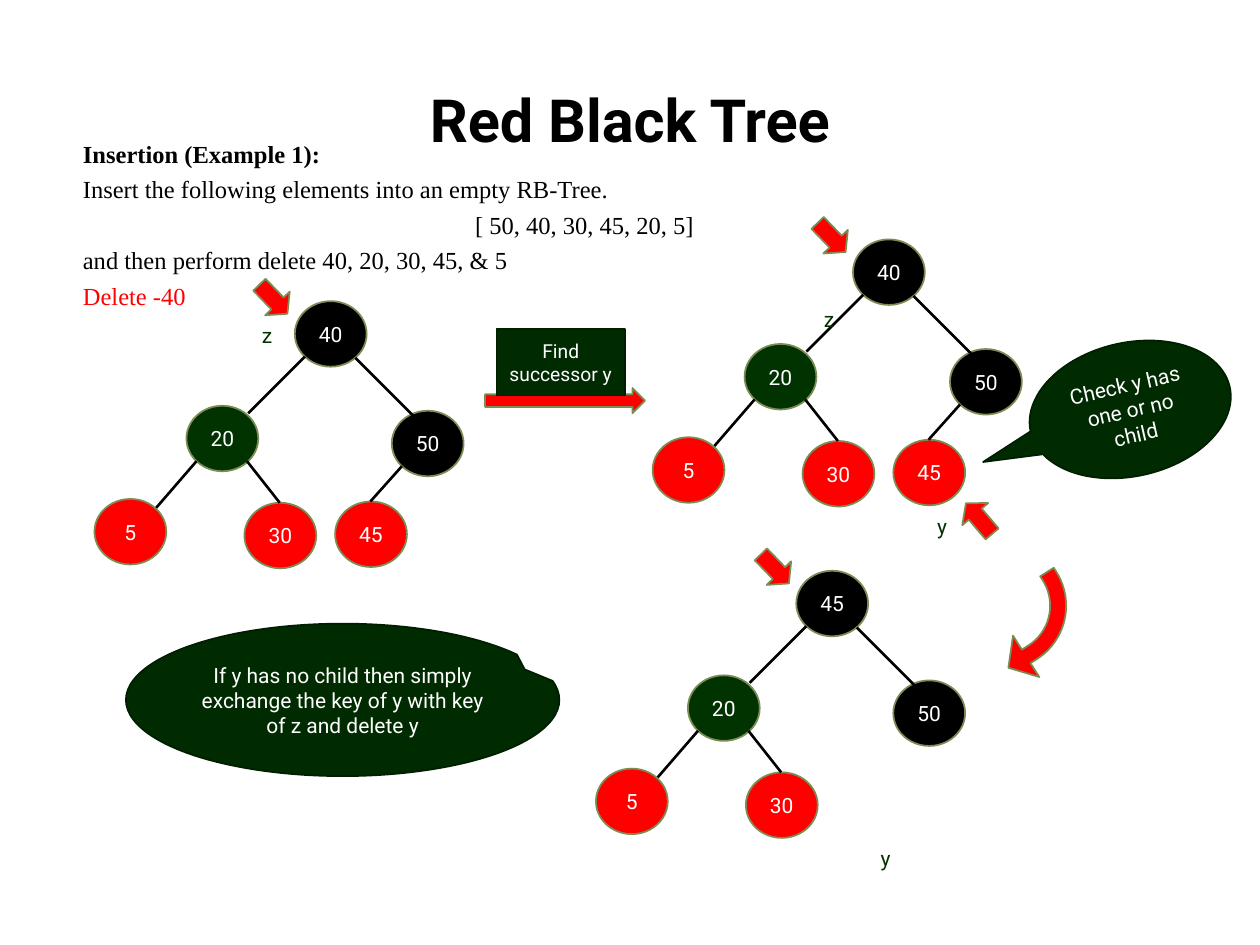
from dataclasses import dataclass

from lxml.etree import SubElement
from pptx import Presentation
from pptx.dml.color import RGBColor
from pptx.enum.shapes import MSO_CONNECTOR, MSO_SHAPE
from pptx.enum.text import MSO_ANCHOR, PP_ALIGN
from pptx.oxml.ns import qn
from pptx.util import Inches, Pt


@dataclass(frozen=True)
class Theme:
    sans: str = "Roboto"
    serif: str = "Times New Roman"
    black: str = "000000"
    white: str = "FFFFFF"
    red: str = "FF0000"
    green: str = "003300"
    dark_green: str = "002A00"
    deep_green: str = "001F00"
    olive: str = "7B8D55"
    title_size: float = 34
    body_size: float = 14
    label_size: float = 12
    step_size: float = 11
    outline: float = 1
    edge: float = 1.5


THEME = Theme()
COLUMNS = 100
NODE_SIZE = (5.7, 5.2)
POINTER_SIZE = (3.2, 2.7)
MARK_SIZE = (2.7, 3)
POINTER_OFFSET = (-3.3, -1.5)

TITLE = ("Red Black Tree", (5, 5.5, 90, 7.9))
BODY_BOX = (5.6, 10.5, 81.6, 12.1)
BODY = [
    ("Insertion (Example 1):", PP_ALIGN.JUSTIFY, True, THEME.black),
    ("Insert the following elements into an empty RB-Tree.", PP_ALIGN.JUSTIFY, False, THEME.black),
    ("[ 50, 40, 30, 45, 20, 5]", PP_ALIGN.CENTER, False, THEME.black),
    ("and then perform delete 40, 20, 30, 45, & 5", PP_ALIGN.LEFT, False, THEME.black),
    ("Delete -40", PP_ALIGN.LEFT, False, THEME.red),
]

CHILDREN = {
    "50": ((7.7, 8.7), THEME.black, (4.8, 4.5), (9.4, 9.1)),
    "20": ((-8.6, 8.3), THEME.green, (0.8, 4.4), (-3.7, 8.9)),
    "45": ((3.2, 15.9), THEME.red, (8.5, 13.1), (6, 15.9)),
    "5": ((-15.9, 15.7), THEME.red, (-7.8, 12.7), (-11, 16.4)),
    "30": ((-4, 16), THEME.red, (-3.8, 12.7), (-1.2, 16)),
}
TREES = [
    ((23.4, 23.9), "40", ("50", "20", "45", "5", "30"), [("z", (-3.6, 1.2))]),
    ((67.7, 19), "40", ("50", "20", "45", "5", "30"), [("z", (-3.3, 4.8)), ("y", (5.7, 21.3))]),
    ((63.2, 45.3), "45", ("50", "20", "5", "30"), [("y", (5.7, 21.3))]),
]

STEP_ARROW = (38.5, 30.8, 12.7, 2)
STEP = ("Find successor y", (39.4, 26.1, 10.2, 5.3))
SUCCESSOR_POINTER = (76.1, 39.8)
TURN_ARROW = (78.7, 46.5, 7.3, 6.7)
CALLOUTS = [
    ("Check y has one or no child", (81.6, 27.2, 16.2, 10.6), 347.2, (-0.76, 0.14)),
    ("If y has no child then simply exchange the key of y with key of z and delete y",
     (10, 49.5, 34.4, 12.1), 0, (0.42, -0.2)),
]

presentation = Presentation()
presentation.slide_width, presentation.slide_height = Inches(10), Inches(7.5)
slide = presentation.slides.add_slide(presentation.slide_layouts[6])
CELL = presentation.slide_width / COLUMNS


def cells(*lengths):
    return [round(length * CELL) for length in lengths]


def shifted(origin, offset):
    return origin[0] + offset[0], origin[1] + offset[1]


def style(paragraph, size, color, font=THEME.sans, bold=False, align=PP_ALIGN.LEFT):
    paragraph.alignment = align
    paragraph.font.name, paragraph.font.size, paragraph.font.bold = font, Pt(size), bold
    paragraph.font.color.rgb = RGBColor.from_string(color)


def add_text(shapes, text, box, size, color, **options):
    frame = shapes.add_textbox(*cells(*box)).text_frame
    frame.word_wrap = True
    frame.text = text
    style(frame.paragraphs[0], size, color, **options)
    return frame


def add_filled(shapes, kind, box, fill, line=THEME.olive, text="", size=THEME.label_size,
               rotation=0, adjustments=()):
    shape = shapes.add_shape(kind, *cells(*box))
    shape.shadow.inherit = False
    shape.fill.solid()
    shape.fill.fore_color.rgb = RGBColor.from_string(fill)
    shape.line.color.rgb = RGBColor.from_string(line)
    shape.line.width = Pt(THEME.outline)
    shape.rotation = rotation
    for index, value in enumerate(adjustments):
        shape.adjustments[index] = value
    if text:
        frame = shape.text_frame
        frame.word_wrap = True
        frame.vertical_anchor = MSO_ANCHOR.MIDDLE
        frame.margin_left, frame.margin_right = cells(0.8, 0.8)
        frame.text = text
        style(frame.paragraphs[0], size, THEME.white, align=PP_ALIGN.CENTER)


def add_node(shapes, key, position, fill):
    add_filled(shapes, MSO_SHAPE.OVAL, (*position, *NODE_SIZE), fill, text=key)


def add_pointer(shapes, position, rotation):
    add_filled(shapes, MSO_SHAPE.RIGHT_ARROW, (*position, *POINTER_SIZE), THEME.red,
               rotation=rotation, adjustments=(0.5, 0.42))


def add_edge(shapes, start, end):
    edge = shapes.add_connector(MSO_CONNECTOR.STRAIGHT, *cells(*start, *end))
    edge.line.color.rgb = RGBColor.from_string(THEME.black)
    edge.line.width = Pt(THEME.edge)
    SubElement(edge._element.spPr, qn("a:effectLst"))


def add_tree(root, root_key, keys, marks):
    shapes = slide.shapes.add_group_shape().shapes
    add_node(shapes, root_key, root, THEME.black)
    for key in keys:
        offset, fill, start, end = CHILDREN[key]
        add_node(shapes, key, shifted(root, offset), fill)
        add_edge(shapes, shifted(root, start), shifted(root, end))
    add_pointer(shapes, shifted(root, POINTER_OFFSET), 46)
    for mark, offset in marks:
        add_text(shapes, mark, (*shifted(root, offset), *MARK_SIZE), THEME.label_size, THEME.green)


def add_body():
    frame = slide.shapes.add_textbox(*cells(*BODY_BOX)).text_frame
    frame.word_wrap = True
    for index, (text, align, bold, color) in enumerate(BODY):
        paragraph = frame.add_paragraph() if index else frame.paragraphs[0]
        paragraph.text = text
        style(paragraph, THEME.body_size, color, THEME.serif, bold, align)
        if index:
            paragraph.space_before = Pt(3.5)


title_text, title_box = TITLE
title = add_text(slide.shapes, title_text, title_box, THEME.title_size, THEME.black,
                 bold=True, align=PP_ALIGN.CENTER)
title.vertical_anchor = MSO_ANCHOR.MIDDLE
add_body()
for tree in TREES:
    add_tree(*tree)
add_filled(slide.shapes, MSO_SHAPE.RIGHT_ARROW, STEP_ARROW, THEME.red)
step_text, step_box = STEP
add_filled(slide.shapes, MSO_SHAPE.RECTANGLE, step_box, THEME.dark_green, THEME.deep_green,
           step_text, THEME.step_size)
add_pointer(slide.shapes, SUCCESSOR_POINTER, 229.5)
for text, box, rotation, adjustments in CALLOUTS:
    add_filled(slide.shapes, MSO_SHAPE.OVAL_CALLOUT, box, THEME.dark_green, THEME.deep_green,
               text, rotation=rotation, adjustments=adjustments)
add_filled(slide.shapes, MSO_SHAPE.BENT_ARROW, TURN_ARROW, THEME.red, rotation=147.5,
           adjustments=(0.19, 0.29, 0.25, 0.75))
presentation.save("out.pptx")
